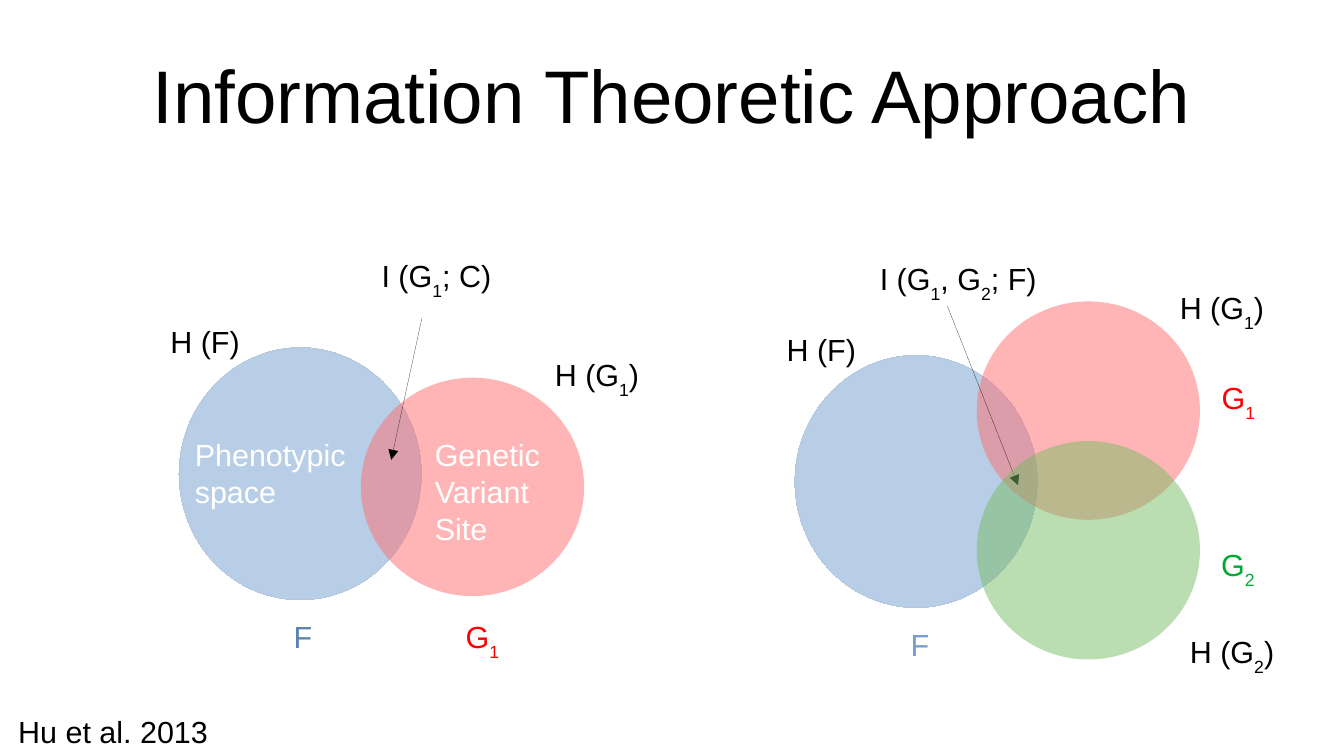
"""Build a slide of Venn diagrams on the information theoretic approach."""
import pptx
import pptx.dml.color
import pptx.enum.shapes
import pptx.enum.text
import pptx.oxml.ns
import pptx.util
from lxml import etree

Cm, Pt = pptx.util.Cm, pptx.util.Pt

COLOURS = {
    "black": "000000", "white": "FFFFFF", "blue": "729FCF", "edge": "B4C7DC",
    "steel": "5983B0", "rose": "FF6D6D", "red": "FF0000",
    "leaf": "77BC65", "green": "00A933",
}
FONT = "Arial"
TITLE = "Information Theoretic Approach"

PHENOTYPE = (5.05, 5.26, "blue", "edge")
VARIANT = (4.65, 4.55, "rose", None)
SECOND_VARIANT = (4.65, 4.55, "leaf", None)
LOWER_CIRCLES = [
    (3.73, 7.24, PHENOTYPE), (7.52, 7.87, VARIANT),
    (16.56, 7.4, PHENOTYPE), (20.35, 6.28, VARIANT),
]
UPPER_CIRCLES = [(20.35, 9.19, SECOND_VARIANT)]
ARROWS = [(8.79, 6.63, 8.15, 9.58), (19.74, 6.38, 21.21, 10.11)]

LABELS = [
    (5.87, 12.76, 0.79, 0.79, "steel", [["F"]]),
    (9.45, 12.76, 1.73, 1.22, "red", [["G", "1"]]),
    (3.3, 6.6, 2.29, 0.64, "black", [["H (F)"]]),
    (11.31, 7.29, 2.67, 1.4, "black", [["H (G", "1", ")"]]),
    (7.7, 5.23, 2.97, 1.65, "black", [["I (G", "1", "; C)"]]),
    (18.72, 12.92, 0.79, 0.79, "blue", [["F"]]),
    (25.19, 11.25, 1.47, 1.19, "green", [["G", "2"]]),
    (16.14, 6.77, 2.41, 1.12, "black", [["H (F)"]]),
    (18.08, 5.29, 4.52, 1.52, "black", [["I (G", "1", ", G", "2", "; F)"]]),
    (25.2, 7.78, 1.73, 1.37, "red", [["G", "1"]]),
    (24.33, 5.89, 2.59, 1.73, "black", [["H (G", "1", ")"]]),
    (24.54, 13.06, 2.64, 1.68, "black", [["H (G", "2", ")"]]),
    (0.13, 14.73, 5.2, 0.97, "black", [["Hu et al. 2013"]]),
    (3.81, 8.97, 3.81, 2.16, "white", [["Phenotypic"], ["space"]]),
    (8.81, 8.97, 3.81, 2.16, "white", [["Genetic"], ["Variant"], ["Site"]]),
]


def rgb(name):
    return pptx.dml.color.RGBColor.from_string(COLOURS[name])


def add_child(parent, tag, **attributes):
    return etree.SubElement(parent, pptx.oxml.ns.qn(tag), **attributes)


def set_hairline(line, colour):
    line.color.rgb = rgb(colour)
    outline = line._get_or_add_ln()
    outline.set("w", "0")
    return outline


def add_circle(page, left, top, kind):
    width, height, fill, edge = kind
    circle = page.shapes.add_shape(
        pptx.enum.shapes.MSO_SHAPE.OVAL, Cm(left), Cm(top), Cm(width), Cm(height))
    circle.shadow.inherit = False
    circle.fill.solid()
    circle.fill.fore_color.rgb = rgb(fill)
    colour = circle.fill._xPr.find(".//" + pptx.oxml.ns.qn("a:srgbClr"))
    add_child(colour, "a:alpha", val="50000")
    if edge:
        set_hairline(circle.line, edge)
    else:
        circle.line.fill.background()


def add_arrow(page, *ends):
    arrow = page.shapes.add_connector(
        pptx.enum.shapes.MSO_CONNECTOR.STRAIGHT, *map(Cm, ends))
    outline = set_hairline(arrow.line, "black")
    add_child(outline, "a:tailEnd", type="triangle")
    add_child(arrow._element.spPr, "a:effectLst")


def add_label(page, left, top, width, height, colour, lines, size=18):
    """Add a text box whose lines alternate normal and subscript pieces."""
    box = page.shapes.add_textbox(Cm(left), Cm(top), Cm(width), Cm(height))
    frame = box.text_frame
    frame.word_wrap = True
    for number, pieces in enumerate(lines):
        para = frame.add_paragraph() if number else frame.paragraphs[0]
        for index, piece in enumerate(pieces):
            span = para.add_run()
            span.text = piece
            span.font.name = FONT
            span.font.size = Pt(size)
            span.font.color.rgb = rgb(colour)
            if index % 2:
                span.font._element.set("baseline", "-33000")
    return frame


def add_title(page):
    frame = add_label(page, 1.4, 0.64, 25.2, 2.64, "black", [[TITLE]], size=44)
    frame.margin_left = frame.margin_right = 0
    frame.margin_top = frame.margin_bottom = 0
    frame.vertical_anchor = pptx.enum.text.MSO_ANCHOR.MIDDLE
    frame.paragraphs[0].alignment = pptx.enum.text.PP_ALIGN.CENTER


def main():
    deck = pptx.Presentation()
    deck.slide_width, deck.slide_height = Cm(28), Cm(15.75)
    page = deck.slides.add_slide(deck.slide_layouts[6])
    add_title(page)
    for circle in LOWER_CIRCLES:
        add_circle(page, *circle)
    for arrow in ARROWS:
        add_arrow(page, *arrow)
    for circle in UPPER_CIRCLES:
        add_circle(page, *circle)
    for label in LABELS:
        add_label(page, *label)
    deck.save("out.pptx")


if __name__ == "__main__":
    main()
